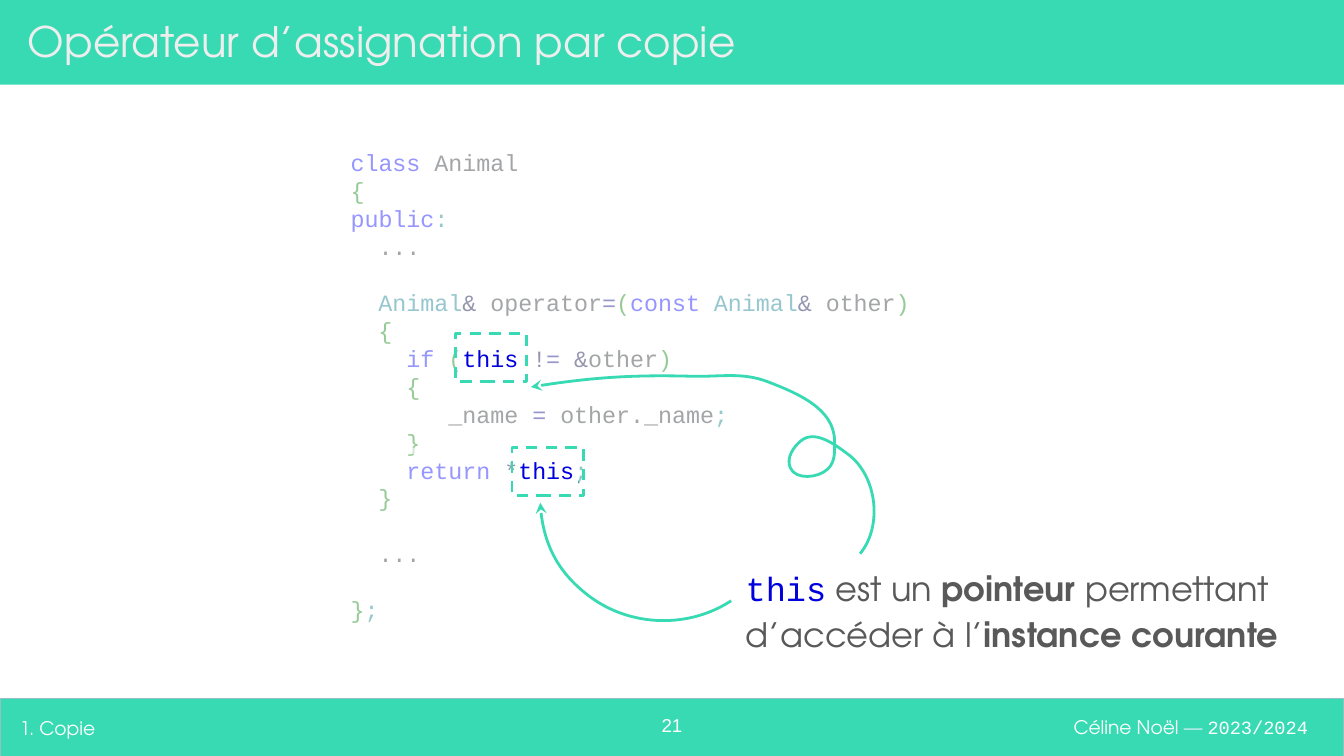
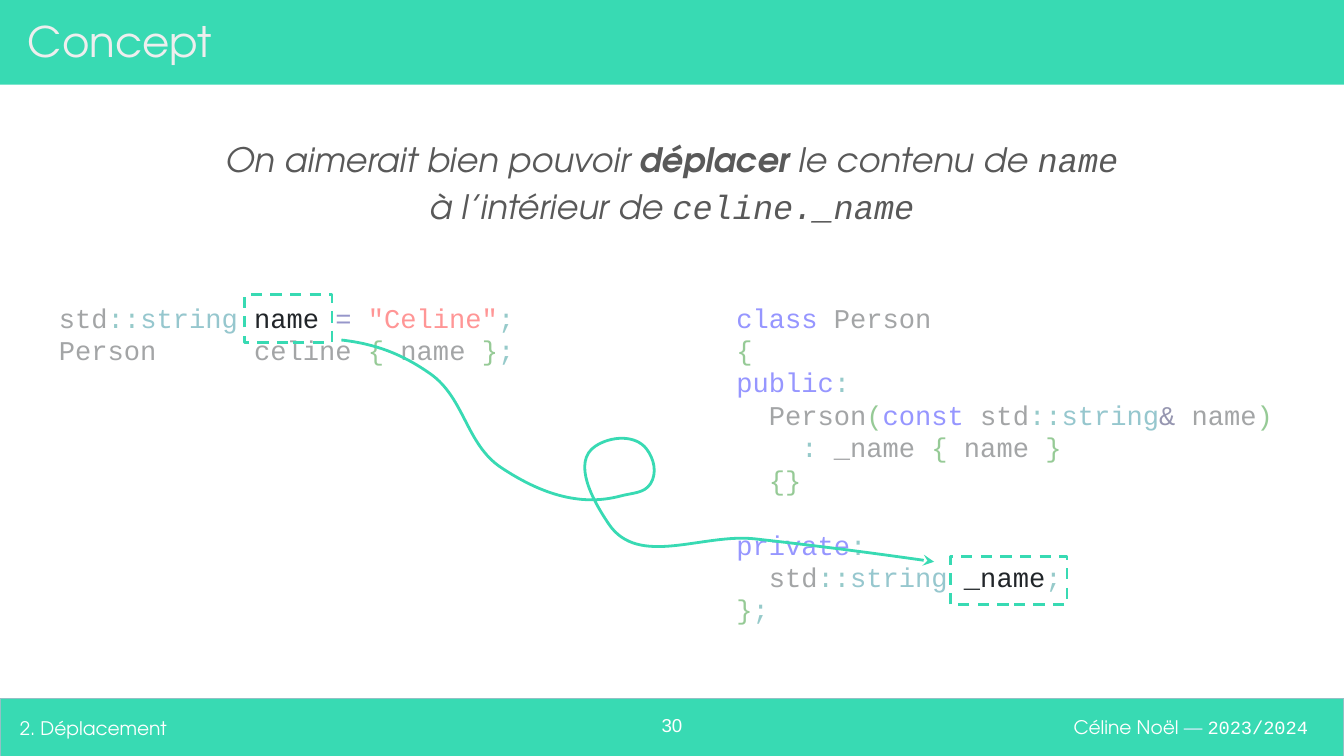
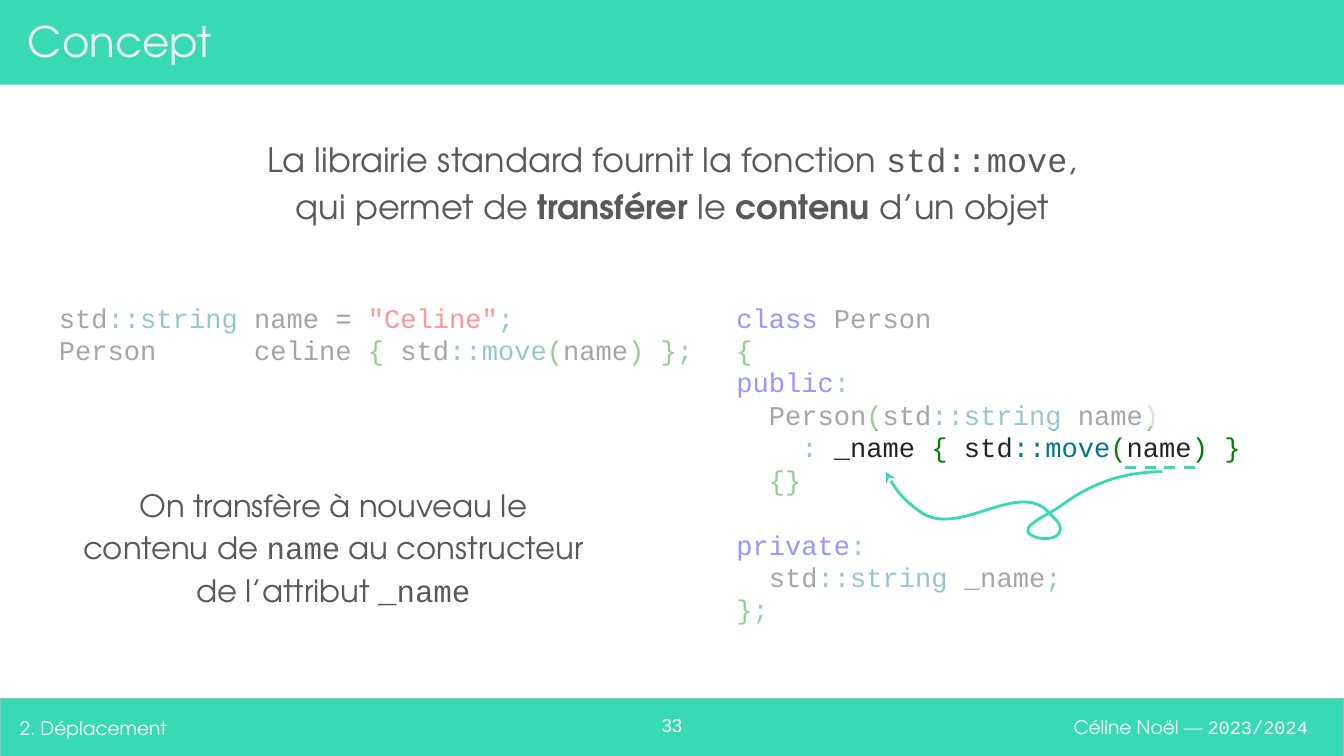
from itertools import groupby

from lxml import etree
from pptx import Presentation
from pptx.dml.color import RGBColor
from pptx.enum.dml import MSO_LINE
from pptx.enum.shapes import MSO_CONNECTOR, MSO_SHAPE
from pptx.enum.text import MSO_ANCHOR, PP_ALIGN
from pptx.oxml.ns import qn
from pptx.util import Pt

RECTANGLE = MSO_SHAPE.RECTANGLE
STRAIGHT = MSO_CONNECTOR.STRAIGHT
DASH = MSO_LINE.DASH
TOP, MIDDLE = MSO_ANCHOR.TOP, MSO_ANCHOR.MIDDLE
LEFT, CENTER, RIGHT = PP_ALIGN.LEFT, PP_ALIGN.CENTER, PP_ALIGN.RIGHT

PX = 9144
SLIDE_WIDTH = 1000 * PX
SLIDE_HEIGHT = SLIDE_WIDTH * 9 // 16
INSET = 10
FRAME_HEIGHT = 36
VEIL_OPACITY = 59
LINE_FACTOR = 1.2
CURVE_STEPS = 24
CURVE_PULL = 0.36

SANS, MONO, NUMBER_FONT = "TeX Gyre Adventor", "Courier New", "Arial"

WHITE = RGBColor.from_string("FFFFFF")
GREEN = RGBColor.from_string("38DAB3")
FOOTER_EDGE = RGBColor.from_string("93C0C5")
TITLE_GREY = RGBColor.from_string("EEEEEE")
PALE_BLUE = RGBColor.from_string("E2EEFF")
NOTE_GREY = RGBColor.from_string("595959")
PLAIN = RGBColor.from_string("212529")
KEYWORD = RGBColor.from_string("0000FF")
POINTER = RGBColor.from_string("0000DD")
TYPE = RGBColor.from_string("007788")
BRACKET = RGBColor.from_string("008000")
SEPARATOR = RGBColor.from_string("008080")
REFERENCE = RGBColor.from_string("000040")
ASSIGNMENT = RGBColor.from_string("000080")
STRING = RGBColor.from_string("FF0000")

SYMBOLS = {
    **dict.fromkeys("{}()", BRACKET),
    **dict.fromkeys(":;", SEPARATOR),
    **dict.fromkeys("&*!", REFERENCE),
    "=": ASSIGNMENT,
}
WORDS = {
    **dict.fromkeys(["class", "public", "private", "const", "if", "return"], KEYWORD),
    **dict.fromkeys(["string", "move"], TYPE),
    "this": POINTER,
}

TEXT = {"font": SANS, "color": NOTE_GREY}
BOLD = {**TEXT, "bold": True}
ITALIC = {**TEXT, "italic": True}
BOLD_ITALIC = {**BOLD, "italic": True}
NAME = {**TEXT, "font": MONO}
ITALIC_NAME = {**NAME, "italic": True}
THIS = {"font": MONO, "color": POINTER}

AUTHOR = [
    ("Céline Noël ", {"font": SANS, "color": WHITE}),
    ("— ", {"font": SANS, "color": PALE_BLUE}),
    ("2023/2024", {"font": MONO, "color": WHITE}),
]

ANIMAL_CLASS = """class Animal
{
public:
  ...

  Animal& operator=(const Animal& other)
  {
    if (this != &other)
    {
       _name = other._name;
    }
    return *this;
  }

  ...

};"""

PERSON_CLASS = """class Person
{{
public:
  Person({parameter} name)
    : _name {{ {value} }}
  {{}}

private:
  std::string _name;
}};"""

PERSON_USE = """std::string name = "Celine";
Person      celine {{ {value} }};"""

HEADING_BOX = (32, 89, 936, 99)
CLASS_PLACE = (538, 214, 432)

SLIDES = [
    {
        "title": "Opérateur d’assignation par copie",
        "section": "1. Copie",
        "number": "21",
        "code": [((251, 100, 469), 12.5, ANIMAL_CLASS)],
        "veils": [
            (241, 87, 465, 150), (253, 395, 465, 113), (232, 236, 111, 44),
            (396, 236, 111, 44), (257, 281, 298, 57), (240, 333, 144, 58),
            (431, 333, 144, 58),
        ],
        "notes": [((545, 408, 444, 88), 18, LEFT, [
            ("this", THIS), (" est un ", TEXT), ("pointeur", BOLD),
            (" permettant d’accéder à l’", TEXT), ("instance courante", BOLD),
        ])],
        "frames": [(339, 248, 53), (381, 333, 53)],
        "underlines": [],
        "arrows": [
            [(544, 447), (439, 444), (402, 374)],
            [(640, 412), (631, 338), (596, 328), (588, 348), (616, 349),
             (621, 328), (571, 284), (515, 280), (395, 288)],
        ],
    },
    {
        "title": "Concept",
        "section": "2. Déplacement",
        "number": "30",
        "code": [
            (CLASS_PLACE, 14.5,
             PERSON_CLASS.format(parameter="const std::string&", value="name")),
            ((34, 214, 379), 14.5, PERSON_USE.format(value="name")),
        ],
        "veils": [
            (532, 202, 465, 217), (-3, 198, 185, 118), (548, 420, 159, 51),
            (186, 249, 245, 29), (247, 222, 174, 29), (780, 419, 159, 51),
        ],
        "notes": [(HEADING_BOX, 18, CENTER, [
            ("On aimerait bien pouvoir ", ITALIC), ("déplacer ", BOLD_ITALIC),
            ("le contenu de ", ITALIC), ("name\n", ITALIC_NAME),
            ("à l’intérieur de ", ITALIC), ("celine._name", ITALIC_NAME),
        ])],
        "frames": [(182, 219, 65), (707, 414, 87)],
        "underlines": [],
        "arrows": [
            [(254, 253), (320, 278), (373, 348), (462, 369), (484, 360),
             (481, 334), (443, 332), (453, 390), (562, 401), (695, 418)],
        ],
    },
    {
        "title": "Concept",
        "section": "2. Déplacement",
        "number": "33",
        "code": [
            (CLASS_PLACE, 14.5,
             PERSON_CLASS.format(parameter="std::string", value="std::move(name)")),
            ((34, 214, 540), 14.5, PERSON_USE.format(value="std::move(name)")),
        ],
        "veils": [
            (36, 222, 485, 58), (538, 210, 326, 110), (538, 383, 295, 87),
            (560, 323, 53, 50), (851, 290, 88, 27),
        ],
        "notes": [
            (HEADING_BOX, 18, CENTER, [
                ("La librairie standard fournit la fonction ", TEXT),
                ("std::move", NAME), (",\nqui permet de ", TEXT),
                ("transférer ", BOLD), ("le ", TEXT), ("contenu ", BOLD),
                ("d’un objet", TEXT),
            ]),
            ((36, 348, 424, 131), 16.5, CENTER, [
                ("On transfère à nouveau le\ncontenu de ", TEXT), ("name", NAME),
                (" au constructeur de l’attribut ", TEXT), ("_name", NAME),
            ]),
        ],
        "frames": [],
        "underlines": [(837, 348, 890, 348)],
        "arrows": [
            [(865, 351), (790, 376), (767, 398), (789, 394),
             (781, 382), (685, 381), (659, 351)],
        ],
    },
]


def to_emu(lengths):
    return [round(length * PX) for length in lengths]


def add_rectangle(slide, box, fill=None, edge=None, edge_width=0.75):
    shape = slide.shapes.add_shape(RECTANGLE, *to_emu(box))
    shape.shadow.inherit = False
    if fill is None:
        shape.fill.background()
    else:
        shape.fill.solid()
        shape.fill.fore_color.rgb = fill
    if edge is None:
        shape.line.fill.background()
    else:
        shape.line.color.rgb = edge
        shape.line.width = Pt(edge_width)
    return shape


def add_text_frame(slide, box, anchor=TOP):
    frame = slide.shapes.add_textbox(*to_emu(box)).text_frame
    frame.word_wrap = True
    frame.vertical_anchor = anchor
    frame.margin_left = frame.margin_right = INSET * PX
    frame.margin_top = frame.margin_bottom = INSET * PX
    return frame


def add_runs(paragraph, runs, size):
    for text, style in runs:
        for index, piece in enumerate(text.split("\n")):
            if index:
                paragraph.add_line_break()
            if not piece:
                continue
            run = paragraph.add_run()
            run.text = piece
            run.font.size = Pt(size)
            run.font.name = style["font"]
            run.font.color.rgb = style["color"]
            run.font.bold = style.get("bold")
            run.font.italic = style.get("italic")


def add_label(slide, box, runs, size, align=LEFT, anchor=MIDDLE):
    paragraph = add_text_frame(slide, box, anchor).paragraphs[0]
    paragraph.alignment = align
    add_runs(paragraph, runs, size)
    return paragraph


def add_note(slide, box, size, align, runs):
    paragraph = add_label(slide, box, runs, size, align, TOP)
    paragraph.line_spacing = 1.15
    paragraph.space_after = Pt(12)


def highlight(line):
    runs = []
    for index, part in enumerate(line.split('"')):
        if index % 2:
            runs.append((f'"{part}"', {"font": MONO, "color": STRING}))
            continue
        for (symbol, _), letters in groupby(part, lambda c: (SYMBOLS.get(c), c == " ")):
            word = "".join(letters)
            color = symbol or WORDS.get(word, PLAIN)
            if not symbol and line.lstrip().startswith(word + "&"):
                color = TYPE
            runs.append((word, {"font": MONO, "color": color}))
    return runs


def add_code(slide, place, size, code):
    lines = code.split("\n")
    line_height = Pt(size * LINE_FACTOR)
    height = len(lines) * line_height / PX + 2 * INSET
    frame = add_text_frame(slide, (*place, height))
    paragraph, gap = frame.paragraphs[0], 0
    for index, line in enumerate(lines):
        if not line:
            gap += line_height
            continue
        if index:
            paragraph = frame.add_paragraph()
        paragraph.line_spacing = line_height
        paragraph.space_before = gap
        add_runs(paragraph, highlight(line), size)
        gap = 0


def add_veil(slide, box):
    shape = add_rectangle(slide, box, WHITE)
    color = shape._element.spPr.find(qn("a:solidFill"))[0]
    etree.SubElement(color, qn("a:alpha"), val=str(VEIL_OPACITY * 1000))


def add_underline(slide, ends):
    connector = slide.shapes.add_connector(STRAIGHT, *to_emu(ends))
    connector.line.color.rgb = GREEN
    connector.line.width = Pt(1.5)
    connector.line.dash_style = DASH
    etree.SubElement(connector._element.spPr, qn("a:effectLst"))


def unit(vector):
    return vector / abs(vector)


def smooth_curves(anchors):
    chords = [b - a for a, b in zip(anchors, anchors[1:])]
    inner = [unit(unit(a) * abs(b) + unit(b) * abs(a))
             for a, b in zip(chords, chords[1:])]
    first = unit(chords[0]) ** 2 * inner[0].conjugate()
    last = unit(chords[-1]) ** 2 * inner[-1].conjugate()
    directions = [first, *inner, last]
    curves = []
    for i, chord in enumerate(chords):
        pull = CURVE_PULL * abs(chord)
        start, end = anchors[i], anchors[i + 1]
        curves.append((start, start + pull * directions[i],
                       end - pull * directions[i + 1], end))
    return curves


def curve_point(curve, t):
    a, b, c, d = curve
    s = 1 - t
    return s ** 3 * a + 3 * t * s * s * b + 3 * t * t * s * c + t ** 3 * d


def to_pair(point):
    return round(point.real), round(point.imag)


def add_curved_arrow(slide, points):
    anchors = [complex(*to_emu(point)) for point in points]
    curves = smooth_curves(anchors)
    samples = [to_pair(curve_point(curve, step / CURVE_STEPS))
               for curve in curves for step in range(1, CURVE_STEPS + 1)]
    builder = slide.shapes.build_freeform(*to_pair(anchors[0]))
    builder.add_line_segments(samples, close=False)
    shape = builder.convert_to_shape()
    outline = shape._element.find(".//" + qn("a:path"))
    for segment in list(outline)[1:]:
        outline.remove(segment)
    for curve in curves:
        bezier = etree.SubElement(outline, qn("a:cubicBezTo"))
        for x, y in map(to_pair, curve[1:]):
            etree.SubElement(bezier, qn("a:pt"),
                             x=str(x - shape.left), y=str(y - shape.top))
    shape.shadow.inherit = False
    shape.fill.background()
    shape.line.color.rgb = GREEN
    shape.line.width = Pt(1.5)
    line = shape._element.spPr.find(qn("a:ln"))
    etree.SubElement(line, qn("a:tailEnd"), type="stealth")


def add_bands(slide, title, section, number):
    add_rectangle(slide, (0, 520, 1000, 44), GREEN, FOOTER_EDGE)
    add_label(slide, (718, 519, 265, 44), AUTHOR, 10, RIGHT)
    add_rectangle(slide, (0, 0, 1000, 63), GREEN)
    add_label(slide, (11, 6, 948, 48),
              [(title, {"font": SANS, "color": TITLE_GREY})], 22.5)
    add_label(slide, (470, 523, 60, 36),
              [(number, {"font": NUMBER_FONT, "color": WHITE})], 10, CENTER, TOP)
    add_label(slide, (5, 520, 454, 44),
              [(section, {"font": SANS, "color": WHITE})], 10)


def main():
    presentation = Presentation()
    presentation.slide_width = SLIDE_WIDTH
    presentation.slide_height = SLIDE_HEIGHT
    blank = presentation.slide_layouts[6]
    for content in SLIDES:
        slide = presentation.slides.add_slide(blank)
        add_bands(slide, content["title"], content["section"], content["number"])
        for listing in content["code"]:
            add_code(slide, *listing)
        for box in content["veils"]:
            add_veil(slide, box)
        for note in content["notes"]:
            add_note(slide, *note)
        for place in content["frames"]:
            frame = add_rectangle(slide, (*place, FRAME_HEIGHT), None, GREEN, 1.5)
            frame.line.dash_style = DASH
        for ends in content["underlines"]:
            add_underline(slide, ends)
        for points in content["arrows"]:
            add_curved_arrow(slide, points)
    presentation.save("out.pptx")


if __name__ == "__main__":
    main()
